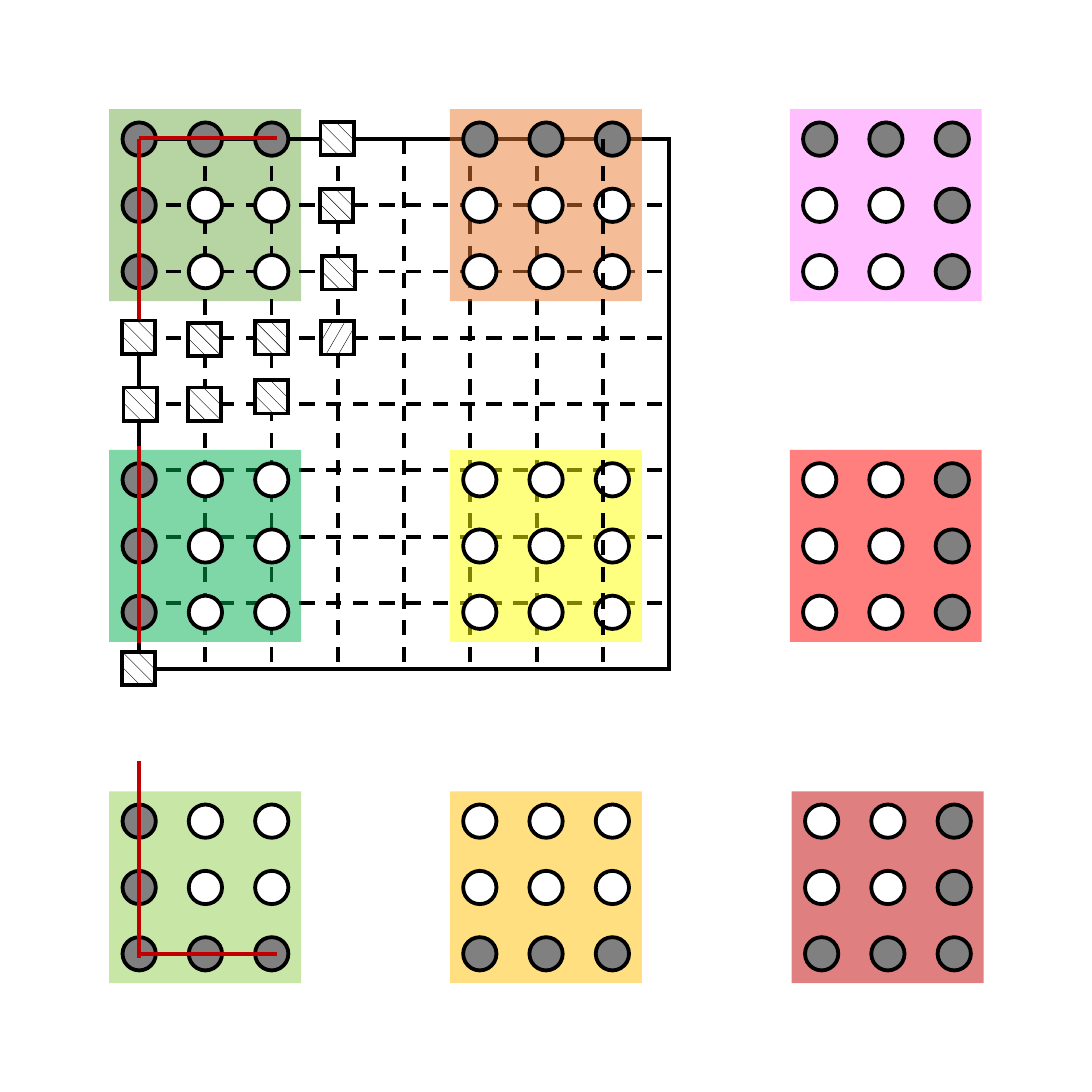
from lxml import etree
from pptx import Presentation
from pptx.dml.color import RGBColor
from pptx.enum.dml import MSO_LINE, MSO_PATTERN
from pptx.enum.shapes import MSO_CONNECTOR, MSO_SHAPE
from pptx.oxml.ns import qn
from pptx.util import Pt

RECTANGLE, OVAL = MSO_SHAPE.RECTANGLE, MSO_SHAPE.OVAL
STRAIGHT, DASH = MSO_CONNECTOR.STRAIGHT, MSO_LINE.DASH
DIAGONAL = MSO_PATTERN.WIDE_DOWNWARD_DIAGONAL
CONFETTI = MSO_PATTERN.LARGE_CONFETTI

COLORS = {
    "black": "000000", "white": "FFFFFF", "gray": "808080", "dark red": "C00000",
    "green": "70AD47", "orange": "ED7D31", "magenta": "FF00FF",
    "teal": "00B050", "yellow": "FFFF00", "red": "FF0000",
    "lime": "92D050", "gold": "FFC000",
}
RGB = {name: RGBColor.from_string(value) for name, value in COLORS.items()}

ORIGIN, STEP, CELLS = 36.1, 17.22, 8
END = ORIGIN + CELLS * STEP
BLOCK, MARGIN, MARK = 49.9, 7.75, 8.64

presentation = Presentation()
presentation.slide_width = presentation.slide_height = Pt(283.7)
slide = presentation.slides.add_slide(presentation.slide_layouts[6])


def add_square_box(shapes, kind, center_x, center_y, size, outlined=True):
    shape = shapes.add_shape(kind, Pt(center_x - size / 2), Pt(center_y - size / 2),
                             Pt(size), Pt(size))
    shape.shadow.inherit = False
    if outlined:
        shape.line.color.rgb = RGB["black"]
        shape.line.width = Pt(1)
        line = shape._element.spPr.find(qn("a:ln"))
        etree.SubElement(line, qn("a:miter"), lim="800000")
    else:
        shape.line.fill.background()
    return shape


def add_line(start_x, start_y, end_x, end_y, color, dash=None):
    connector = slide.shapes.add_connector(STRAIGHT, Pt(start_x), Pt(start_y),
                                           Pt(end_x), Pt(end_y))
    connector.line.color.rgb = RGB[color]
    connector.line.width = Pt(1)
    if dash:
        connector.line.dash_style = dash
    etree.SubElement(connector._element.spPr, qn("a:effectLst"))


# Blocks: left, top, color, opacity in percent, rows of nodes (x is a gray node)
blocks = [
    (28.4, 28.4, "green", 50, ("xxx", "xoo", "xoo")),
    (28.4, 116.9, "teal", 50, ("xoo", "xoo", "xoo")),
    (28.4, 205.6, "lime", 50, ("xoo", "xoo", "xxx")),
    (116.9, 116.9, "yellow", 50, ("ooo", "ooo", "ooo")),
    (116.9, 205.6, "gold", 50, ("ooo", "ooo", "xxx")),
    (116.9, 28.4, "orange", 50, ("xxx", "ooo", "ooo")),
    (205.2, 116.9, "red", 50, ("oox", "oox", "oox")),
    (205.7, 205.6, "dark red", 50, ("oox", "oox", "xxx")),
    (205.2, 28.4, "magenta", 25, ("xxx", "oox", "oox")),
]
for left, top, color, opacity, rows in blocks:
    group = slide.shapes.add_group_shape()
    panel = add_square_box(group.shapes, RECTANGLE, left + BLOCK / 2, top + BLOCK / 2,
                           BLOCK, outlined=False)
    panel.fill.solid()
    panel.fill.fore_color.rgb = RGB[color]
    panel_color = panel._element.spPr.find(".//" + qn("a:srgbClr"))
    etree.SubElement(panel_color, qn("a:alpha"), val=str(opacity * 1000))

    # The grid lies above the green panel and below its nodes
    if color == "green":
        for index in range(1, CELLS):
            offset = ORIGIN + index * STEP
            add_line(ORIGIN, offset, END, offset, "black", DASH)
            if index < CELLS - 1:
                add_line(offset, ORIGIN, offset, END, "black", DASH)
        frame = add_square_box(slide.shapes, RECTANGLE, (ORIGIN + END) / 2,
                               (ORIGIN + END) / 2, END - ORIGIN)
        frame.fill.background()
        group = slide.shapes.add_group_shape()

    for row, nodes in enumerate(rows):
        for column, kind in enumerate(nodes):
            node = add_square_box(group.shapes, OVAL, left + MARGIN + column * STEP,
                                  top + MARGIN + row * STEP, MARK)
            node.fill.solid()
            node.fill.fore_color.rgb = RGB["gray" if kind == "x" else "white"]

    # The last vertical grid line crosses the orange and yellow blocks
    if color == "orange":
        last = END - STEP
        add_line(last, ORIGIN, last, END, "black", DASH)

# Red boundary lines
for start_x, start_y, end_x, end_y in [
    (36.1, 36, 36.1, 87), (36.1, 116, 36.1, 167), (36.1, 197.7, 36.1, 248.8),
    (36.1, 35.9, 71.9, 35.9), (36.1, 247.8, 71.9, 247.8),
]:
    add_line(start_x, start_y, end_x, end_y, "dark red")

# Hatched squares at their centers
for center_x, center_y, pattern in [
    (36.4, 105, DIAGONAL), (36, 173.6, DIAGONAL), (36, 87.6, DIAGONAL),
    (53.2, 88.2, DIAGONAL), (70.6, 87.8, DIAGONAL), (88, 70.9, DIAGONAL),
    (87.5, 53.4, DIAGONAL), (87.6, 36, DIAGONAL), (87.7, 87.8, CONFETTI),
    (53.2, 105, DIAGONAL), (70.6, 103.1, DIAGONAL),
]:
    square = add_square_box(slide.shapes, RECTANGLE, center_x, center_y, MARK)
    square.fill.patterned()
    square.fill.pattern = pattern
    square.fill.fore_color.rgb = RGB["black"]
    square.fill.back_color.rgb = RGB["white"]

presentation.save("out.pptx")
